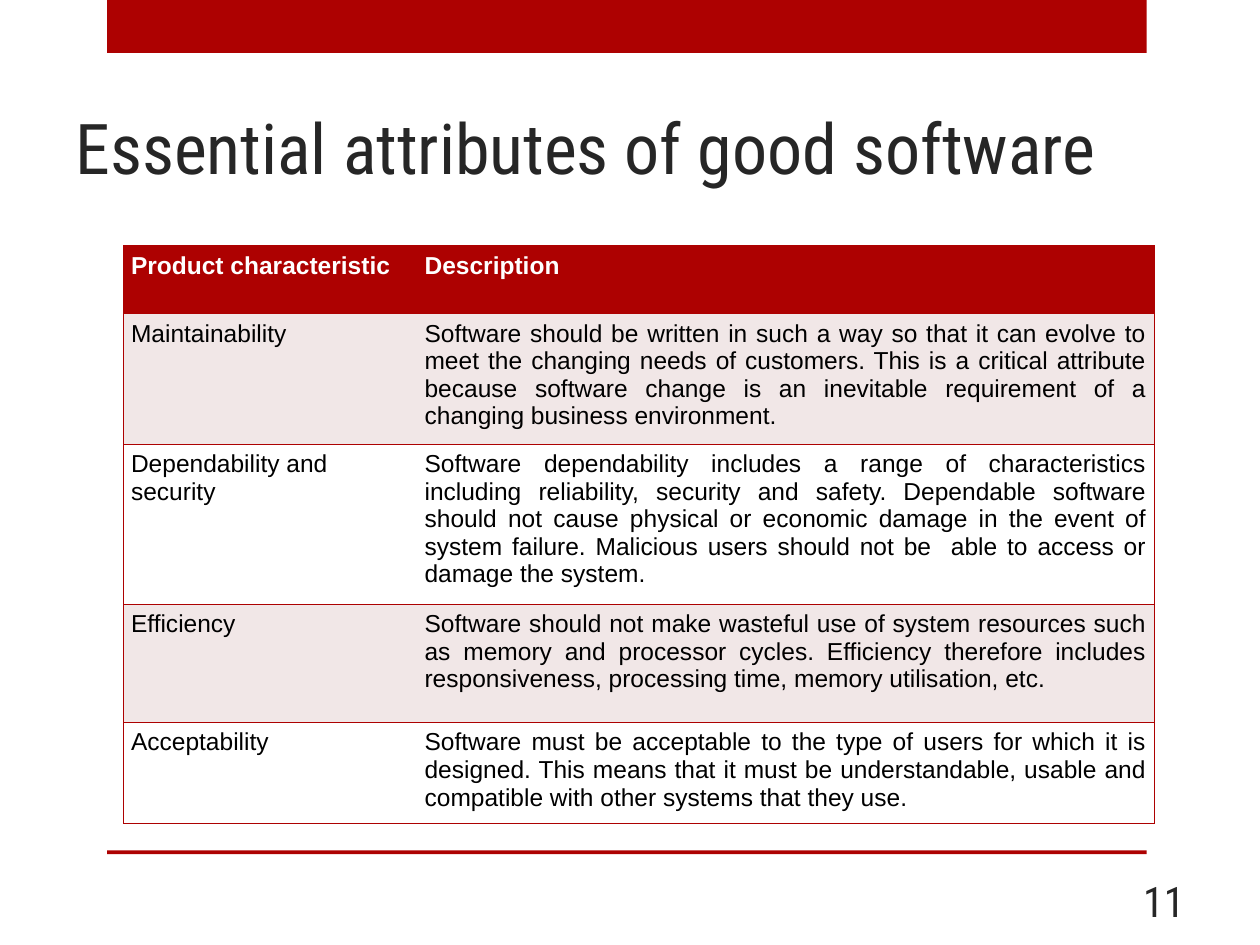
from lxml import etree
from pptx import Presentation
from pptx.dml.color import RGBColor
from pptx.enum.shapes import MSO_SHAPE
from pptx.enum.text import MSO_ANCHOR, MSO_AUTO_SIZE, PP_ALIGN
from pptx.oxml.ns import qn
from pptx.util import Inches, Pt

RECTANGLE = MSO_SHAPE.RECTANGLE
LEFT, RIGHT, JUSTIFY = PP_ALIGN.LEFT, PP_ALIGN.RIGHT, PP_ALIGN.JUSTIFY
TOP, MIDDLE, BOTTOM = MSO_ANCHOR.TOP, MSO_ANCHOR.MIDDLE, MSO_ANCHOR.BOTTOM
NO_AUTOFIT = MSO_AUTO_SIZE.NONE
TITLE_ONLY = 5
GRID_COLUMNS, GRID_ROWS = 100, 75

ATTRIBUTES = [
    ("Product characteristic", "Description"),
    ("Maintainability",
     "Software should be written in such a way so that it can evolve to meet the "
     "changing needs of customers. This is a critical attribute because software "
     "change is an inevitable requirement of a changing business environment."),
    ("Dependability and security",
     "Software dependability includes a range of characteristics including "
     "reliability, security and safety. Dependable software should not cause "
     "physical or economic damage in the event of system failure. Malicious users "
     "should not be  able to access or damage the system."),
    ("Efficiency",
     "Software should not make wasteful use of system resources such as memory and "
     "processor cycles. Efficiency therefore includes responsiveness, processing "
     "time, memory utilisation, etc."),
    ("Acceptability",
     "Software must be acceptable to the type of users for which it is designed. "
     "This means that it must be understandable, usable and compatible with other "
     "systems that they use."),
]


def color(value):
    return RGBColor.from_string(value)


class SlideBuilder:
    accent = "AD0101"
    ink = "262626"
    band = "F1E7E7"
    white = "FFFFFF"
    black = "000000"
    heading_font = "Roboto Condensed"
    table_font = "Arial"

    def __init__(self, deck):
        self.deck = deck
        self.page = deck.slides.add_slide(deck.slide_layouts[TITLE_ONLY])

    def place(self, left, top, width, height):
        across = self.deck.slide_width / GRID_COLUMNS
        down = self.deck.slide_height / GRID_ROWS
        return (round(left * across), round(top * down),
                round(width * across), round(height * down))

    def set_text(self, frame, text, font, size, ink, align, bold=False):
        frame.text = text
        frame.word_wrap = True
        para = frame.paragraphs[0]
        para.alignment = align
        for span in para.runs:
            span.font.name = font
            span.font.size = Pt(size)
            span.font.bold = bold
            span.font.color.rgb = color(ink)

    def bar(self, *area):
        box = self.page.shapes.add_shape(RECTANGLE, *self.place(*area))
        box.shadow.inherit = False
        box.fill.solid()
        box.fill.fore_color.rgb = color(self.accent)
        box.line.fill.background()

    def title(self, text, *area):
        box = self.page.shapes.title
        box.left, box.top, box.width, box.height = self.place(*area)
        self.set_text(box.text_frame, text, self.heading_font, 40, self.ink, LEFT)
        box.text_frame.auto_size = NO_AUTOFIT
        box.text_frame.vertical_anchor = BOTTOM

    def page_number(self, text, *area):
        box = self.page.shapes.add_textbox(*self.place(*area))
        self.set_text(box.text_frame, text, self.heading_font, 24, self.ink, RIGHT)
        box.text_frame.vertical_anchor = MIDDLE

    def border(self, cell, edge, visible):
        properties = cell._tc.get_or_add_tcPr()
        line = etree.SubElement(properties, qn(f"a:ln{edge}"), w=str(Pt(0.45)))
        if visible:
            fill = etree.SubElement(line, qn("a:solidFill"))
            etree.SubElement(fill, qn("a:srgbClr"), val=self.accent)
        else:
            etree.SubElement(line, qn("a:noFill"))

    def cell(self, cell, text, fill, ink, align, bold, edges):
        cell.margin_left = cell.margin_right = Inches(0.06)
        cell.margin_top = cell.margin_bottom = Inches(0.05)
        cell.vertical_anchor = TOP
        for edge in "LRTB":
            self.border(cell, edge, edge in edges)
        cell.fill.solid()
        cell.fill.fore_color.rgb = color(fill)
        self.set_text(cell.text_frame, text, self.table_font, 14, ink, align, bold)

    def table(self, records, left, top, widths, heights):
        area = self.place(left, top, sum(widths), sum(heights))
        grid = self.page.shapes.add_table(len(records), len(widths), *area).table
        grid.first_row = grid.horz_banding = False
        for column, width in zip(grid.columns, widths):
            column.width = self.place(0, 0, width, 0)[2]
        for row, height in zip(grid.rows, heights):
            row.height = self.place(0, 0, 0, height)[3]
        for r, record in enumerate(records):
            header = r == 0
            fill = self.accent if header else self.band if r % 2 else self.white
            ink = self.white if header else self.black
            for c, text in enumerate(record):
                align = LEFT if text == "Dependability and security" else JUSTIFY
                edges = "LTB" if c == 0 else "RTB"
                self.cell(grid.cell(r, c), text, fill, ink, align, header, edges)


def main():
    deck = Presentation()
    deck.slide_width, deck.slide_height = Inches(10), Inches(7.5)
    slide = SlideBuilder(deck)
    slide.bar(8.5, 0, 82.5, 4.2)
    slide.bar(8.5, 67.5, 82.5, 0.3)
    slide.title("Essential attributes of good software", 5, 3, 87.5, 12.5)
    slide.page_number("11", 71.7, 69.5, 23.3, 4)
    slide.table(ATTRIBUTES, 9.8, 19.5, (23.3, 58.5), (5.4, 10.3, 12.7, 9.4, 8))
    deck.save("out.pptx")


if __name__ == "__main__":
    main()
